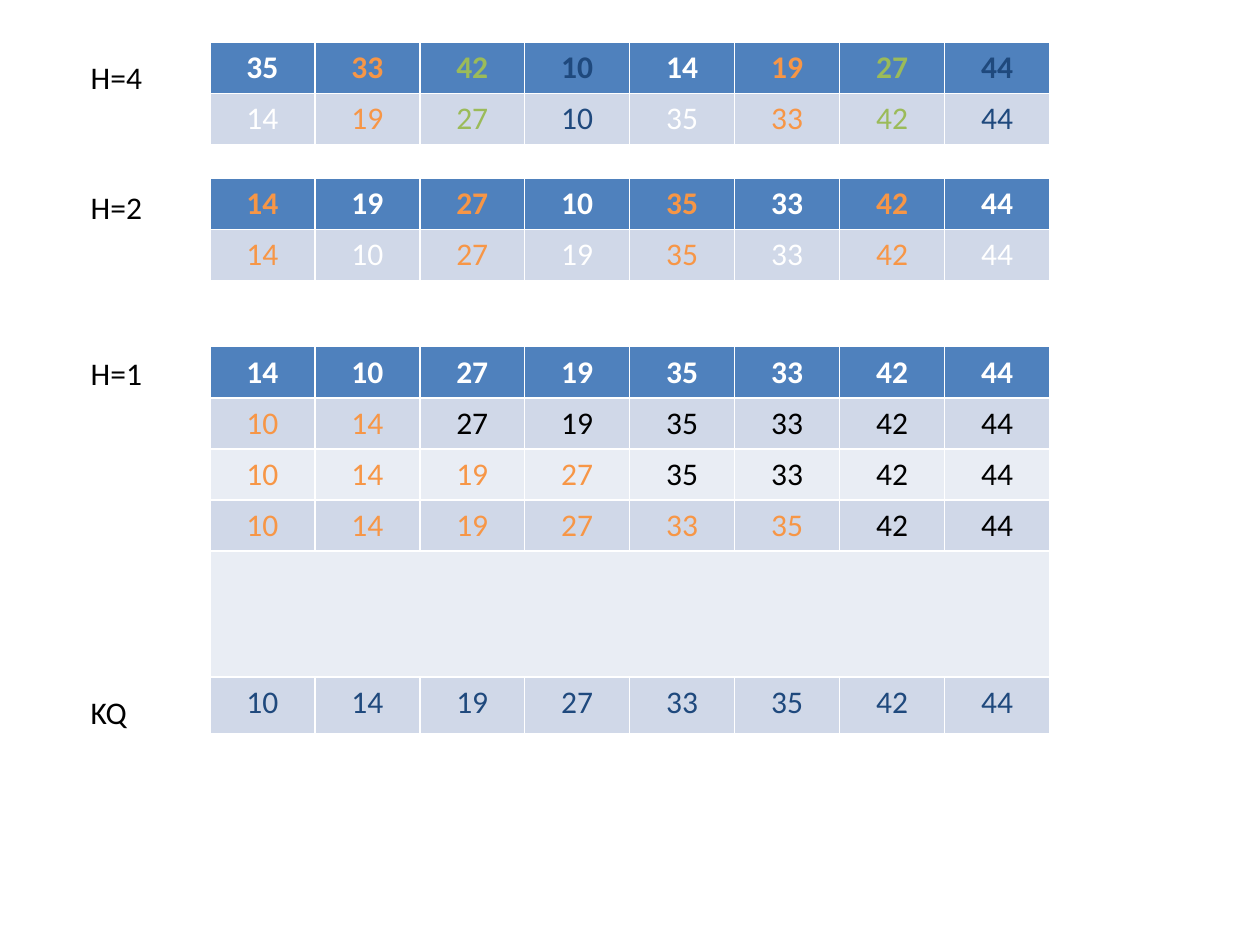
"""Build a slide that traces Shell sort through its gap passes."""
from dataclasses import dataclass
from itertools import cycle, islice

from pptx import Presentation
from pptx.dml.color import RGBColor
from pptx.enum.text import MSO_AUTO_SIZE, PP_ALIGN
from pptx.util import Cm, Pt

LEFT, CENTER = PP_ALIGN.LEFT, PP_ALIGN.CENTER
FIT_SHAPE = MSO_AUTO_SIZE.SHAPE_TO_FIT_TEXT
BLANK_LAYOUT = 6
COLUMNS = 8


@dataclass(frozen=True)
class Theme:
    font: str = "Calibri"
    size: int = 18
    white: str = "FFFFFF"
    black: str = "000000"
    orange: str = "F79646"
    green: str = "9BBB59"
    navy: str = "1F497D"
    header: str = "4F81BD"
    bands: tuple = ("E9EDF4", "D0D8E8")


def write(frame, text, *, theme, color, bold=False, align=LEFT):
    paragraph = frame.paragraphs[0]
    paragraph.alignment = align
    run = paragraph.add_run()
    run.text = str(text)
    run.font.name = theme.font
    run.font.size = Pt(theme.size)
    run.font.bold = bold
    run.font.color.rgb = RGBColor.from_string(color)


class SortSlide:
    def __init__(self, slide, theme):
        self.slide = slide
        self.theme = theme

    def label(self, text, top, wrap=True):
        box = self.slide.shapes.add_textbox(Cm(1.58), Cm(top), Cm(1.69), Cm(1.03))
        frame = box.text_frame
        frame.word_wrap = wrap
        frame.auto_size = FIT_SHAPE
        write(frame, text, theme=self.theme, color=self.theme.black)

    def passes(self, top, heights, rows):
        frame = self.slide.shapes.add_table(
            len(rows), COLUMNS, Cm(4.23), Cm(top), Cm(16.93), Cm(sum(heights)))
        table = frame.table
        for index, (height, (values, colors)) in enumerate(zip(heights, rows)):
            table.rows[index].height = Cm(height)
            is_header = index == 0
            fill = self.theme.header if is_header else self.theme.bands[index % 2]
            for column in range(COLUMNS):
                cell = table.cell(index, column)
                cell.fill.solid()
                cell.fill.fore_color.rgb = RGBColor.from_string(fill)
            for column, (value, color) in enumerate(zip(values, colors)):
                write(table.cell(index, column).text_frame, value, theme=self.theme,
                      color=color, bold=is_header, align=CENTER)
            if not values:
                table.cell(index, 0).merge(table.cell(index, COLUMNS - 1))


def repeat(*colors):
    return list(islice(cycle(colors), COLUMNS))


def sorted_up_to(count, theme):
    return [theme.orange] * count + [theme.black] * (COLUMNS - count)


theme = Theme()
presentation = Presentation()
presentation.slide_width, presentation.slide_height = Cm(25.4), Cm(19.05)
layout = presentation.slide_layouts[BLANK_LAYOUT]
sort_slide = SortSlide(presentation.slides.add_slide(layout), theme)

unsorted = [35, 33, 42, 10, 14, 19, 27, 44]
after_gap_4 = [14, 19, 27, 10, 35, 33, 42, 44]
after_gap_2 = [14, 10, 27, 19, 35, 33, 42, 44]
first_pair = [10, 14, 27, 19, 35, 33, 42, 44]
first_four = [10, 14, 19, 27, 35, 33, 42, 44]
result = sorted(unsorted)

gap_4_groups = repeat(theme.white, theme.orange, theme.green, theme.navy)
gap_2_groups = repeat(theme.orange, theme.white)

sort_slide.passes(0.85, [0.97] * 2, [
    (unsorted, gap_4_groups), (after_gap_4, gap_4_groups)])
sort_slide.passes(3.6, [0.97] * 2, [
    (after_gap_4, gap_2_groups), (after_gap_2, gap_2_groups)])
sort_slide.passes(6.99, [0.85] * 4 + [2.54, 1.14], [
    (after_gap_2, repeat(theme.white)),
    (first_pair, sorted_up_to(2, theme)),
    (first_four, sorted_up_to(4, theme)),
    (result, sorted_up_to(6, theme)),
    ([], []),
    (result, repeat(theme.navy)),
])

sort_slide.label("H=4", 1.04, wrap=False)
for step, top in (("H=2", 3.66), ("H=1", 7.01), ("KQ", 13.84)):
    sort_slide.label(step, top)

presentation.save("out.pptx")
